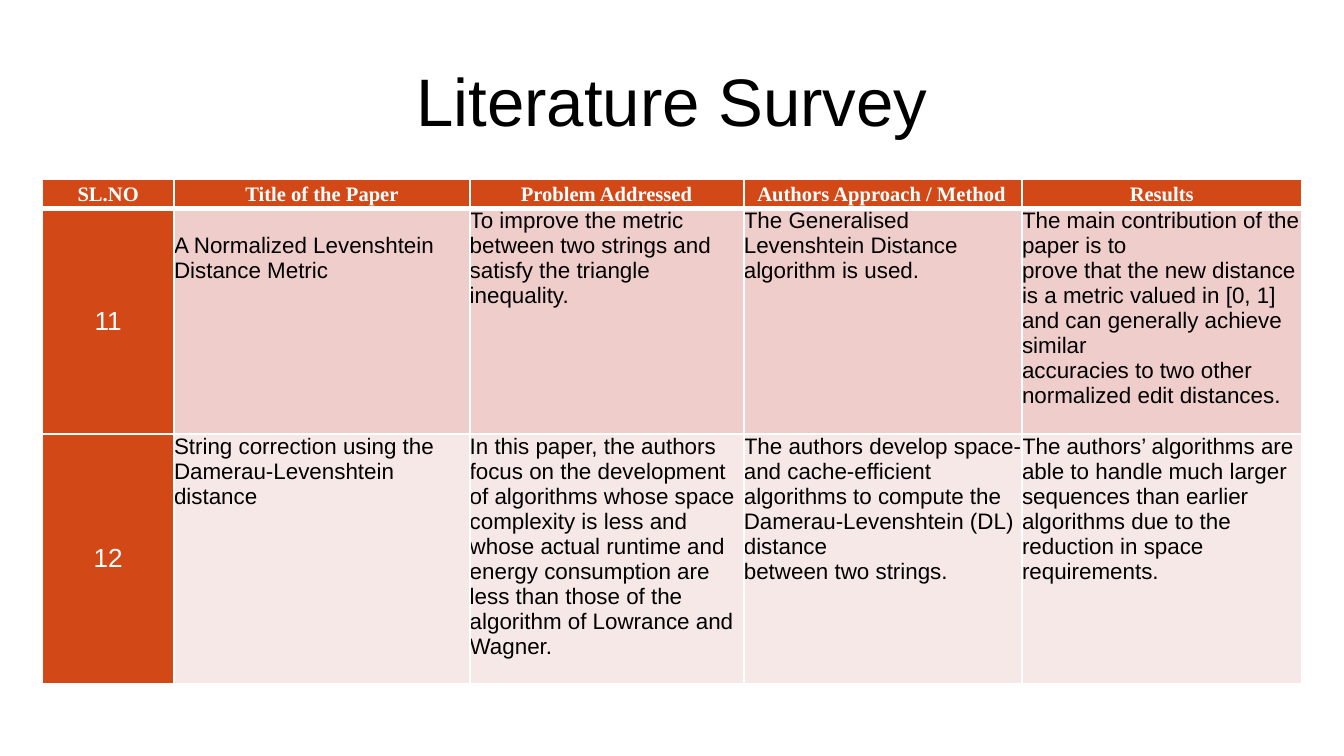
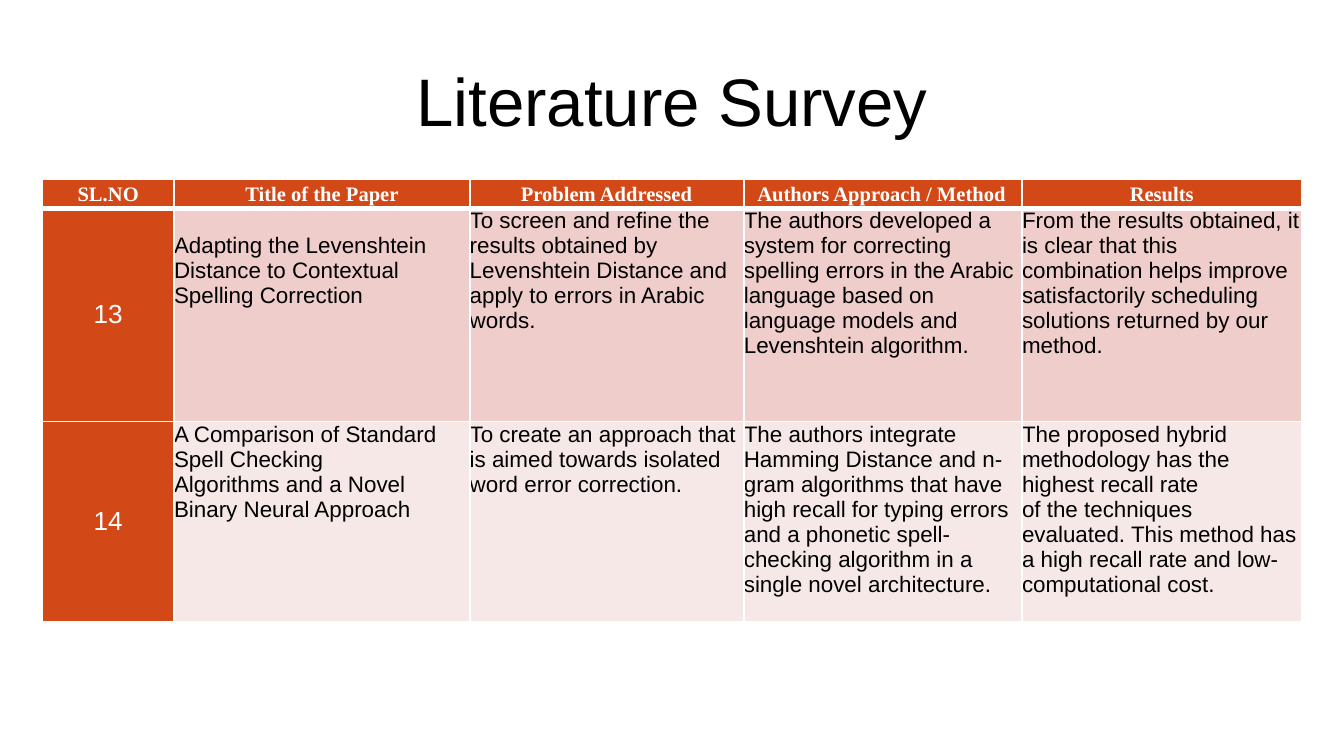
from dataclasses import dataclass

from lxml.etree import SubElement
from pptx import Presentation
from pptx.dml.color import RGBColor as RGB
from pptx.enum.text import MSO_ANCHOR as Anchor, PP_ALIGN as Align
from pptx.oxml import parse_xml
from pptx.oxml.ns import nsdecls, qn
from pptx.util import Inches, Pt


@dataclass(frozen=True)
class Theme:
    accent: str = "D34817"
    bands: tuple = ("EFCDCA", "F6E8E6")
    paper: str = "FFFFFF"
    ink: str = "000000"
    sans: str = "Arial"
    serif: str = "Times New Roman"
    title: int = 36
    number: int = 14
    body: int = 12
    header: int = 11
    thin: int = 1
    thick: int = 3


TITLE = "Literature Survey"
TITLE_BOX = (3.4, 2.8, 93.2, 9.2)
TABLE_AT = (3.15, 13.35)
COLUMNS = (9.8, 22, 20.4, 20.7, 20.8)
HEADER_HEIGHT = 1.5
BODY_LINE = 1.87

# Heading and its left indent; None means centred
HEADINGS = (
    ("SL.NO", None),
    ("Title of the Paper", 5.3),
    ("Problem Addressed", 3.8),
    ("Authors Approach / Method", 1),
    ("Results", None),
)

# For each slide: heights of the paper rows, then the papers
SURVEYS = (
    ((16.8, 18.6), (
        ("11",
         "A Normalized Levenshtein Distance Metric",
         "To improve the metric between two strings and satisfy the triangle inequality.",
         "The Generalised Levenshtein Distance algorithm is used.",
         "The main contribution of the paper is to\n"
         "prove that the new distance is a metric valued in [0, 1] "
         "and can generally achieve similar\n"
         "accuracies to two other normalized edit distances."),
        ("12",
         "String correction using the\nDamerau-Levenshtein distance",
         "In this paper, the authors\n"
         "focus on the development of algorithms whose space complexity is less "
         "and whose actual runtime and energy consumption are less than those "
         "of the algorithm of Lowrance and Wagner.",
         "The authors develop space- and cache-efficient algorithms to compute "
         "the Damerau-Levenshtein (DL) distance\nbetween two strings.",
         "The authors’ algorithms are able to handle much larger sequences than "
         "earlier algorithms due to the reduction in space requirements."),
    )),
    ((15.9, 14.9), (
        ("13",
         "Adapting the Levenshtein Distance to Contextual Spelling Correction",
         "To screen and refine the results obtained by Levenshtein Distance "
         "and apply to errors in Arabic words.",
         "The authors developed a system for correcting spelling errors in the "
         "Arabic language based on\nlanguage models and Levenshtein algorithm.",
         "From the results obtained, it is clear that this combination helps improve "
         "satisfactorily scheduling solutions returned by our method."),
        ("14",
         "A Comparison of Standard Spell Checking\n"
         "Algorithms and a Novel Binary Neural Approach",
         "To create an approach that is aimed towards isolated word error correction.",
         "The authors integrate Hamming Distance and n-gram algorithms that have high "
         "recall for typing errors and a phonetic spell-checking algorithm in a "
         "single novel architecture.",
         "The proposed hybrid methodology has the highest recall rate\n"
         "of the techniques evaluated. This method has a high recall rate "
         "and low-computational cost."),
    )),
)


def grid(n):
    """Length of n grid steps; the slide is 100 columns by 56.25 rows."""
    return Inches(n / 10)


class Deck:
    def __init__(self, theme):
        self.theme = theme
        self.prs = Presentation()
        self.prs.slide_width, self.prs.slide_height = grid(100), grid(56.25)
        self.slide = None

    def add_slide(self):
        self.slide = self.prs.slides.add_slide(self.prs.slide_layouts[6])

    def style(self, tf, size, color, font=None, bold=False, align=Align.LEFT):
        for p in tf.paragraphs:
            p.alignment = align
            p.font.name = font or self.theme.sans
            p.font.size = Pt(size)
            p.font.bold = bold
            p.font.color.rgb = RGB.from_string(color)

    def title(self, text):
        tf = self.slide.shapes.add_textbox(*map(grid, TITLE_BOX)).text_frame
        tf.word_wrap = True
        tf.vertical_anchor = Anchor.MIDDLE
        tf.margin_left = tf.margin_right = grid(1)
        tf.margin_top = tf.margin_bottom = grid(1)
        tf.text = text
        self.style(tf, self.theme.title, self.theme.ink, align=Align.CENTER)

    def cell(self, cell, text, fill, top=1, bottom=1):
        """Fill a cell; top and bottom are border widths in points."""
        cell.text = text
        cell.margin_left = cell.margin_right = 0
        cell.margin_top = cell.margin_bottom = 0
        cell.fill.solid()
        cell.fill.fore_color.rgb = RGB.from_string(fill)
        tcPr = cell._tc.get_or_add_tcPr()
        thin = self.theme.thin
        edges = (("L", thin), ("R", thin), ("T", top), ("B", bottom))
        for i, (edge, width) in enumerate(edges):
            ln = parse_xml(f'<a:ln{edge} {nsdecls("a")} w="{Pt(width)}"/>')
            solid = SubElement(ln, qn("a:solidFill"))
            SubElement(solid, qn("a:srgbClr"), val=self.theme.paper)
            tcPr.insert(i, ln)
        return cell.text_frame

    def header(self, tbl):
        t = self.theme
        for c, (text, indent) in enumerate(HEADINGS):
            tf = self.cell(tbl.cell(0, c), text, t.accent, t.thin, t.thick)
            align = Align.CENTER if indent is None else Align.LEFT
            self.style(tf, t.header, t.paper, t.serif, True, align)
            p = tf.paragraphs[0]
            p.line_spacing = 1.16
            if indent is not None:
                p._p.get_or_add_pPr().set("marL", str(grid(indent)))

    def paper(self, tbl, row, texts):
        t = self.theme
        top = t.thick if row == 1 else t.thin
        for c, text in enumerate(texts):
            cell = tbl.cell(row, c)
            fill = t.bands[row - 1] if c else t.accent
            tf = self.cell(cell, text, fill, top)
            if c:
                self.style(tf, t.body, t.ink)
            else:
                cell.vertical_anchor = Anchor.MIDDLE
                self.style(tf, t.number, t.paper, align=Align.CENTER)
        if row == 1:
            tbl.cell(row, 1).margin_top = grid(BODY_LINE)

    def survey(self, heights, papers):
        rows = (HEADER_HEIGHT, *heights)
        size = (sum(COLUMNS), sum(rows))
        tbl = self.slide.shapes.add_table(
            len(rows), len(COLUMNS), *map(grid, TABLE_AT + size)).table
        tbl.horz_banding = False
        for col, width in zip(tbl.columns, COLUMNS):
            col.width = grid(width)
        for row, height in zip(tbl.rows, rows):
            row.height = grid(height)
        self.header(tbl)
        for row, texts in enumerate(papers, 1):
            self.paper(tbl, row, texts)


def main():
    deck = Deck(Theme())
    for heights, papers in SURVEYS:
        deck.add_slide()
        deck.title(TITLE)
        deck.survey(heights, papers)
    deck.prs.save("out.pptx")


if __name__ == "__main__":
    main()
